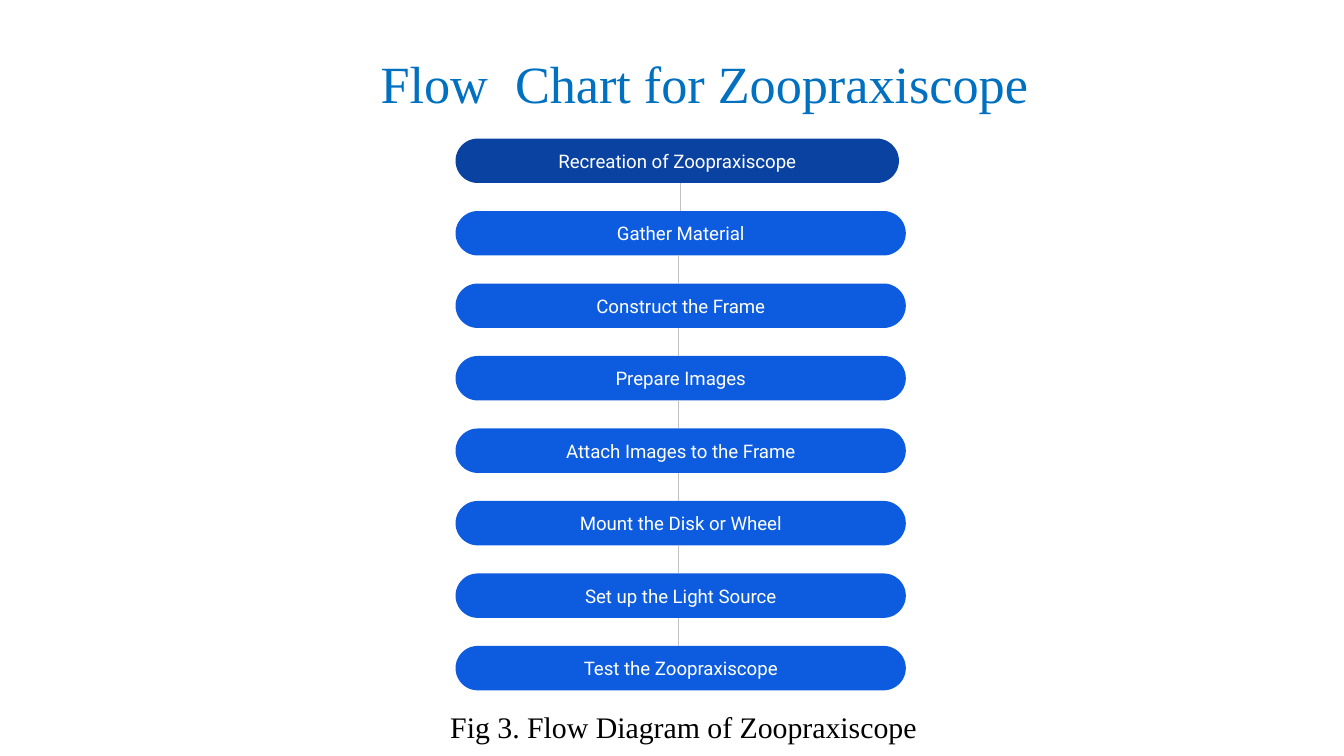
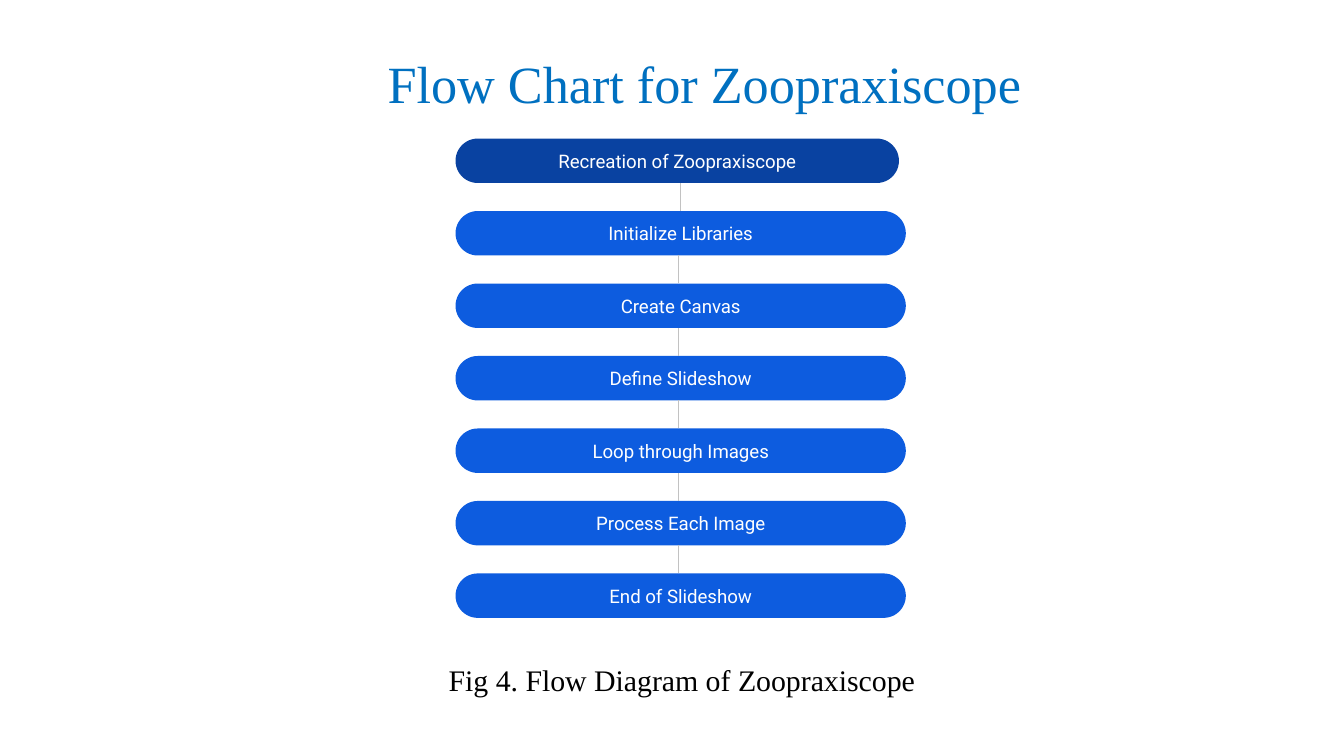
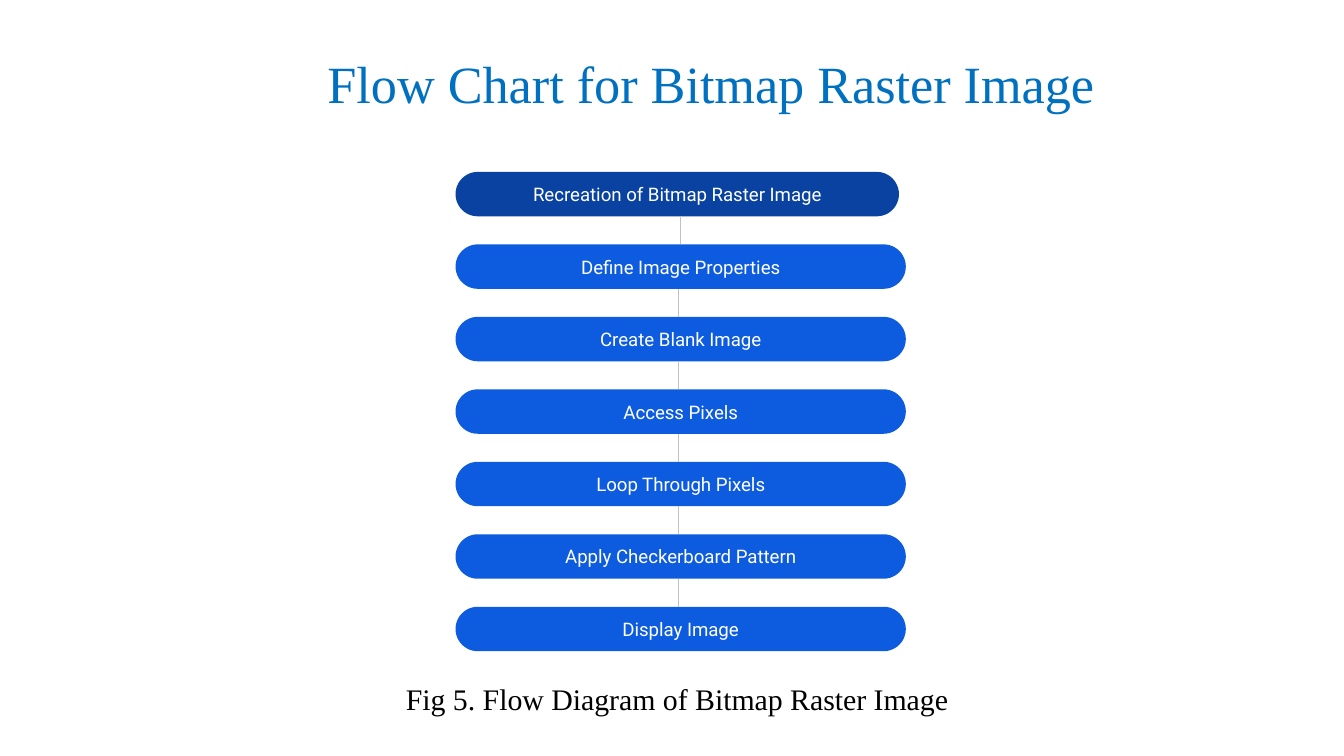
import pptx
import pptx.dml.color
import pptx.enum.shapes
import pptx.enum.text
import pptx.oxml.ns
import pptx.util
from lxml import etree

Cm = pptx.util.Cm
Pt = pptx.util.Pt
MIDDLE = pptx.enum.text.MSO_ANCHOR.MIDDLE
TOP = pptx.enum.text.MSO_ANCHOR.TOP
CENTER = pptx.enum.text.PP_ALIGN.CENTER
LEFT = pptx.enum.text.PP_ALIGN.LEFT

COLORS = {
    "title": "0070C0",
    "start": "0942A1",
    "step": "0D5CDF",
    "step_text": "FFFFFF",
    "connector": "C2C2C2",
    "caption": "000000",
}
SERIF = "Times New Roman"
SANS = "Roboto"

# Flow geometry in centimetres
FLOW_LEFT = 8.61
START_WIDTH = 8.38
STEP_WIDTH = 8.51
STEP_HEIGHT = 0.84
STEP_PITCH = 1.37
FIRST_LINK_X = 12.86
LINK_X = 12.82

# Caption box: left, top, width, height in centimetres
FLOWS = [
    {
        "title": "Flow \tChart for Zoopraxiscope ",
        "top": 2.62,
        "steps": [
            "Recreation of Zoopraxiscope",
            "Gather Material",
            "Construct the Frame",
            "Prepare Images",
            "Attach Images to the Frame",
            "Mount the Disk or Wheel",
            "Set up the Light Source",
            "Test the Zoopraxiscope",
        ],
        "caption": "Fig 3. Flow Diagram of Zoopraxiscope",
        "caption_box": (8.26, 13.36, 9.88, 0.76),
        "caption_anchor": MIDDLE,
    },
    {
        "title": "Flow Chart for Zoopraxiscope ",
        "top": 2.62,
        "steps": [
            "Recreation of Zoopraxiscope",
            "Initialize Libraries",
            "Create Canvas",
            "Define Slideshow",
            "Loop through Images",
            "Process Each Image",
            "End of Slideshow",
        ],
        "caption": "Fig 4. Flow Diagram of Zoopraxiscope",
        "caption_box": (8.23, 12.47, 9.88, 0.76),
        "caption_anchor": MIDDLE,
    },
    {
        "title": "Flow Chart for Bitmap Raster Image",
        "top": 3.25,
        "steps": [
            "Recreation of Bitmap Raster Image",
            "Define Image Properties",
            "Create Blank Image",
            "Access Pixels",
            "Loop Through Pixels",
            "Apply Checkerboard Pattern",
            "Display Image",
        ],
        "caption": "Fig 5. Flow Diagram of Bitmap Raster Image",
        "caption_box": (7.42, 12.62, 11.35, 1.19),
        "caption_anchor": TOP,
    },
]


def rgb(name):
    return pptx.dml.color.RGBColor.from_string(COLORS[name])


class FlowDeck:
    """Holds the shared style and the current slide."""

    def __init__(self):
        self.presentation = pptx.Presentation()
        self.presentation.slide_width = Cm(25.4)
        self.presentation.slide_height = Cm(14.29)
        self.slide = None

    def add_slide(self):
        blank_layout = self.presentation.slide_layouts[6]
        self.slide = self.presentation.slides.add_slide(blank_layout)

    def style_text(self, shape, text, font_name, size, color, align, anchor):
        text_frame = shape.text_frame
        text_frame.word_wrap = True
        text_frame.vertical_anchor = anchor
        text_frame.margin_left = text_frame.margin_right = Cm(0.25)
        text_frame.margin_top = text_frame.margin_bottom = Cm(0.25)
        text_frame.text = text
        paragraph = text_frame.paragraphs[0]
        paragraph.alignment = align
        for run in paragraph.runs:
            run.font.name = font_name
            run.font.size = Pt(size)
            run.font.color.rgb = rgb(color)

    def title(self, text):
        shape = self.slide.shapes.add_textbox(Cm(2.87), Cm(0.71), Cm(21.13), Cm(1.57))
        self.style_text(shape, text, SERIF, 28, "title", CENTER, TOP)

    def caption(self, text, box, anchor):
        shape = self.slide.shapes.add_textbox(*map(Cm, box))
        self.style_text(shape, text, SERIF, 16, "caption", LEFT, anchor)

    def step(self, text, top, width, color):
        shape = self.slide.shapes.add_shape(
            pptx.enum.shapes.MSO_SHAPE.ROUNDED_RECTANGLE,
            Cm(FLOW_LEFT), Cm(top), Cm(width), Cm(STEP_HEIGHT))
        shape.adjustments[0] = 0.5
        shape.shadow.inherit = False
        shape.fill.solid()
        shape.fill.fore_color.rgb = rgb(color)
        shape.line.fill.background()
        self.style_text(shape, text, SANS, 10, "step_text", CENTER, MIDDLE)

    def link(self, x, lower, upper):
        connector = self.slide.shapes.add_connector(
            pptx.enum.shapes.MSO_CONNECTOR.ELBOW, Cm(x), Cm(lower), Cm(x), Cm(upper))
        connector.line.color.rgb = rgb("connector")
        connector.line.width = Pt(0.75)
        etree.SubElement(connector._element.spPr, pptx.oxml.ns.qn("a:effectLst"))

    def flow(self, steps, first_top):
        self.step(steps[0], first_top, START_WIDTH, "start")
        for index, text in enumerate(steps[1:], 1):
            top = first_top + index * STEP_PITCH
            self.step(text, top, STEP_WIDTH, "step")
            link_x = FIRST_LINK_X if index == 1 else LINK_X
            self.link(link_x, top, top - STEP_PITCH + STEP_HEIGHT)


def main():
    deck = FlowDeck()
    for flow in FLOWS:
        deck.add_slide()
        deck.title(flow["title"])
        deck.flow(flow["steps"], flow["top"])
        deck.caption(flow["caption"], flow["caption_box"], flow["caption_anchor"])
    deck.presentation.save("out.pptx")


if __name__ == "__main__":
    main()
